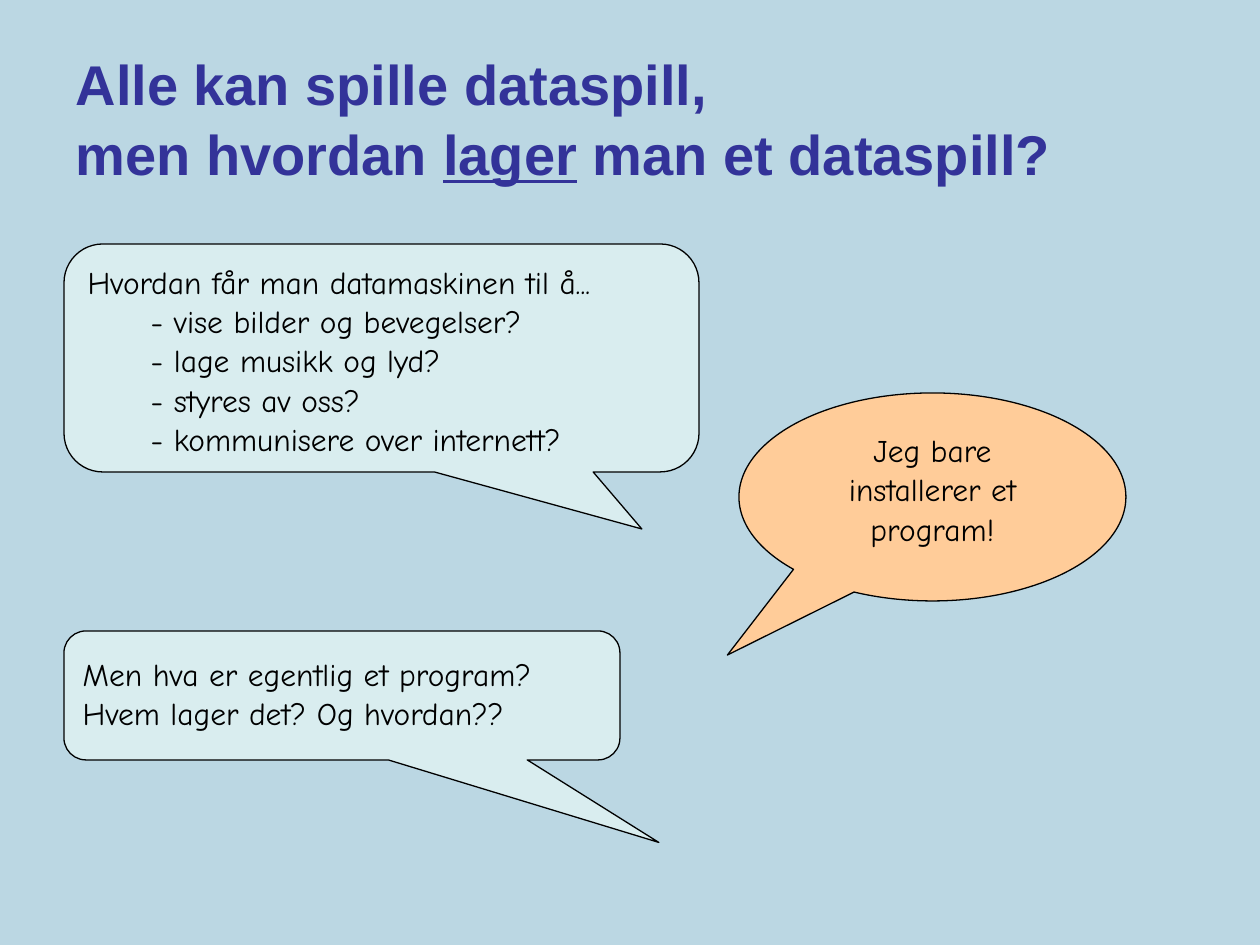
"""Build a slide asking how computer games are made, with three speech callouts."""
import pptx
import pptx.dml.color
import pptx.enum.shapes
import pptx.enum.text
import pptx.util

RGB = pptx.dml.color.RGBColor
SHAPE = pptx.enum.shapes.MSO_SHAPE
ALIGN = pptx.enum.text.PP_ALIGN
ANCHOR = pptx.enum.text.MSO_ANCHOR

SKY, MINT, PEACH = RGB(0xBB, 0xD7, 0xE3), RGB(0xD9, 0xED, 0xEF), RGB(0xFF, 0xCC, 0x99)
INDIGO, BLACK = RGB(0x33, 0x33, 0x99), RGB(0, 0, 0)
LINE_SPACING = 1.04
WIDTH, HEIGHT = 1260, 945

TITLE_BOX = (63, 38, 1134, 158)
TITLE = [
    ("Alle kan spille dataspill,\vmen hvordan ", False),
    ("lager", True),
    (" man et dataspill?", False),
]
CALLOUTS = [
    {"shape": SHAPE.ROUNDED_RECTANGULAR_CALLOUT, "box": (64, 244, 635, 228),
     "adj": (0.41, 0.75, 0.17), "fill": MINT, "align": ALIGN.LEFT, "top": 6,
     "text": [("Hvordan får man datamaskinen til å...", 0),
              ("- vise bilder og bevegelser?", 1),
              ("- lage musikk og lyd?", 1),
              ("- styres av oss?", 1),
              ("- kommunisere over internett?", 1)]},
    {"shape": SHAPE.OVAL_CALLOUT, "box": (739, 393, 387, 208),
     "adj": (-0.53, 0.76), "fill": PEACH, "align": ALIGN.CENTER, "top": 6,
     "text": [("Jeg bare installerer et program!", 0)]},
    {"shape": SHAPE.ROUNDED_RECTANGULAR_CALLOUT, "box": (64, 631, 556, 129),
     "adj": (0.57, 1.14, 0.17), "fill": MINT, "align": ALIGN.LEFT, "top": 16,
     "text": [("Men hva er egentlig et program?\vHvem lager det? Og hvordan??", 0)]},
]


def px(n):
    return pptx.util.Emu(round(n * 914400 / 126))


def add_run(p, text, font, size, color):
    for i, line in enumerate(text.split("\v")):
        if i:
            p.add_line_break()
        r = p.add_run()
        r.text = line
        r.font.name = font
        r.font.size = pptx.util.Pt(size)
        r.font.color.rgb = color
        yield r


def add_shape(s, kind, box, fill):
    sp = s.shapes.add_shape(kind, *map(px, box))
    sp.shadow.inherit = False
    sp.fill.solid()
    sp.fill.fore_color.rgb = fill
    return sp


def add_title(s):
    sp = s.shapes.title
    sp.left, sp.top, sp.width, sp.height = map(px, TITLE_BOX)
    tf = sp.text_frame
    tf.auto_size = pptx.enum.text.MSO_AUTO_SIZE.NONE
    tf.vertical_anchor = ANCHOR.MIDDLE
    p = tf.paragraphs[0]
    p.alignment = ALIGN.LEFT
    p.line_spacing = LINE_SPACING
    for text, underline in TITLE:
        for r in add_run(p, text, "Arial", 32, INDIGO):
            r.font.bold = True
            r.font.underline = underline


def add_callout(s, item):
    sp = add_shape(s, item["shape"], item["box"], item["fill"])
    sp.line.color.rgb = BLACK
    sp.line.width = pptx.util.Pt(0.75)
    for i, value in enumerate(item["adj"]):
        sp.adjustments[i] = value
    tf = sp.text_frame
    tf.word_wrap = True
    tf.vertical_anchor = ANCHOR.TOP
    tf.margin_top = px(item["top"])
    for i, (text, level) in enumerate(item["text"]):
        p = tf.add_paragraph() if i else tf.paragraphs[0]
        p.alignment = item["align"]
        p.line_spacing = LINE_SPACING
        p.level = level
        pPr = p._p.get_or_add_pPr()
        pPr.set("marL", str(px(63 * level)))
        pPr.set("indent", "0")
        list(add_run(p, text, "Comic Neue", 18, BLACK))


def main():
    prs = pptx.Presentation()
    prs.slide_width, prs.slide_height = px(WIDTH), px(HEIGHT)
    s = prs.slides.add_slide(prs.slide_layouts[5])
    backdrop = add_shape(s, SHAPE.RECTANGLE, (0, 0, WIDTH, HEIGHT), SKY)
    backdrop.line.fill.background()
    s.shapes.title._element.addprevious(backdrop._element)
    add_title(s)
    for item in CALLOUTS:
        add_callout(s, item)
    prs.save("out.pptx")


if __name__ == "__main__":
    main()
